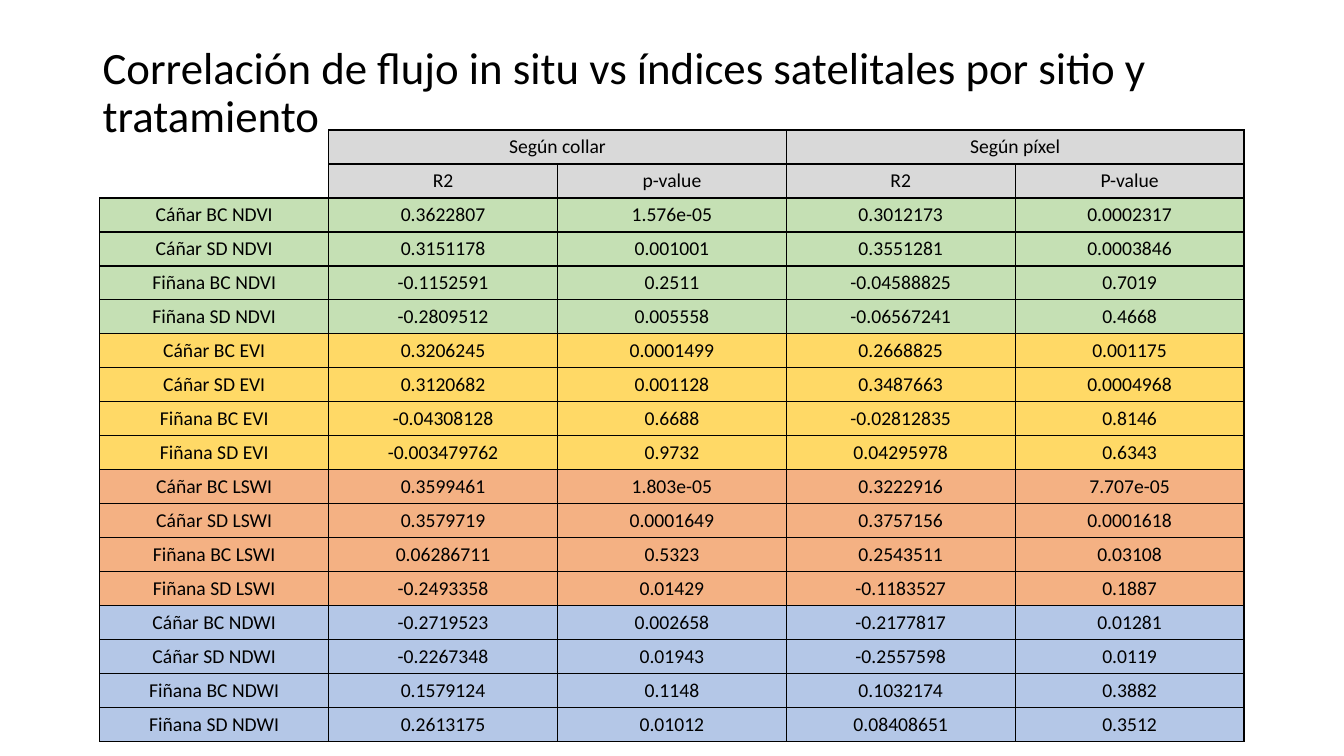
from dataclasses import dataclass
from typing import Any

from lxml.etree import SubElement
from pptx import Presentation
from pptx.dml.color import RGBColor
from pptx.enum.text import MSO_ANCHOR, PP_ALIGN
from pptx.oxml.ns import qn
from pptx.util import Emu, Inches, Pt

SLIDE_WIDTH, SLIDE_HEIGHT = Inches(13.33), Inches(7.5)
TABLE_LEFT, TABLE_TOP = Inches(0.99), Inches(1.29)
TABLE_HEIGHT = Inches(6.07)
COLUMN = Inches(2.27)
COLUMN_COUNT = 5
BLACK, HEADER_GREY = "000000", "D9D9D9"
TITLE = "Correlación de flujo in situ vs índices satelitales por sitio y tratamiento"
SITES = ("Cáñar BC", "Cáñar SD", "Fiñana BC", "Fiñana SD")
HEADERS = (
    ("", "Según collar", "", "Según píxel", ""),
    ("", "R2", "p-value", "R2", "P-value"),
)


@dataclass(frozen=True)
class IndexBlock:
    """Correlations of one satellite index, one row per site and treatment."""
    index: str
    colour: str
    correlations: tuple[str, ...]


INDEX_BLOCKS = (
    IndexBlock("NDVI", "C5E0B4", (
        "0.3622807 1.576e-05 0.3012173 0.0002317",
        "0.3151178 0.001001 0.3551281 0.0003846",
        "-0.1152591 0.2511 -0.04588825 0.7019",
        "-0.2809512 0.005558 -0.06567241 0.4668",
    )),
    IndexBlock("EVI", "FFD966", (
        "0.3206245 0.0001499 0.2668825 0.001175",
        "0.3120682 0.001128 0.3487663 0.0004968",
        "-0.04308128 0.6688 -0.02812835 0.8146",
        "-0.003479762 0.9732 0.04295978 0.6343",
    )),
    IndexBlock("LSWI", "F4B183", (
        "0.3599461 1.803e-05 0.3222916 7.707e-05",
        "0.3579719 0.0001649 0.3757156 0.0001618",
        "0.06286711 0.5323 0.2543511 0.03108",
        "-0.2493358 0.01429 -0.1183527 0.1887",
    )),
    IndexBlock("NDWI", "B4C7E7", (
        "-0.2719523 0.002658 -0.2177817 0.01281",
        "-0.2267348 0.01943 -0.2557598 0.0119",
        "0.1579124 0.1148 0.1032174 0.3882",
        "0.2613175 0.01012 0.08408651 0.3512",
    )),
)


def rgb(colour: str) -> RGBColor:
    return RGBColor.from_string(colour)


def set_attributes(target: Any, values: dict[str, Any]) -> None:
    for attribute, value in values.items():
        setattr(target, attribute, value)


def write(paragraph: Any, text: str, size: int) -> None:
    if not text:
        # An empty cell takes its line height from the end-of-paragraph size.
        SubElement(paragraph._p, qn("a:endParaRPr"), sz=str(size * 100))
        return
    run = paragraph.add_run()
    set_attributes(run, {"text": text})
    set_attributes(run.font, {"name": "Calibri", "size": Pt(size)})
    run.font.color.rgb = rgb(BLACK)


def add_borders(cell: Any, sides: str) -> None:
    """Draw the given sides and switch off the table style's other lines."""
    properties = cell._tc.get_or_add_tcPr()
    for side in "LRTB":
        line = SubElement(properties, qn(f"a:ln{side}"), w=str(Pt(1)))
        if side in sides:
            fill = SubElement(line, qn("a:solidFill"))
            SubElement(fill, qn("a:srgbClr"), val=BLACK)
        else:
            SubElement(line, qn("a:noFill"))


def format_cell(cell: Any, text: str, colour: str | None, sides: str) -> None:
    add_borders(cell, sides)
    if colour:
        cell.fill.solid()
        cell.fill.fore_color.rgb = rgb(colour)
    else:
        cell.fill.background()
    paragraph = cell.text_frame.paragraphs[0]
    paragraph.alignment = PP_ALIGN.CENTER
    write(paragraph, text, 14)


def add_title(slide: Any) -> None:
    title = slide.shapes.add_textbox(
        int(SLIDE_WIDTH * 0.069), int(SLIDE_HEIGHT * 0.028),
        int(SLIDE_WIDTH * 0.863), int(SLIDE_HEIGHT * 0.193))
    set_attributes(title.text_frame,
                   {"word_wrap": True, "vertical_anchor": MSO_ANCHOR.MIDDLE})
    paragraph = title.text_frame.paragraphs[0]
    paragraph.line_spacing = 0.9
    write(paragraph, TITLE, 32)


def table_rows() -> list[tuple[str, tuple[str, ...]]]:
    """Pair each row of texts with its colour, headers first."""
    rows = [(HEADER_GREY, header) for header in HEADERS]
    for block in INDEX_BLOCKS:
        for site, correlations in zip(SITES, block.correlations):
            rows.append((block.colour, (f"{site} {block.index}", *correlations.split())))
    return rows


def add_correlations(slide: Any) -> None:
    rows = table_rows()
    table = slide.shapes.add_table(
        len(rows), COLUMN_COUNT, TABLE_LEFT, TABLE_TOP,
        Emu(COLUMN * COLUMN_COUNT), TABLE_HEIGHT).table
    set_attributes(table, {"first_row": False, "horz_banding": False})
    for column in table.columns:
        column.width = COLUMN
    for row_number, (colour, texts) in enumerate(rows):
        table.rows[row_number].height = Emu(TABLE_HEIGHT // len(rows))
        for column_number, text in enumerate(texts):
            cell = table.cell(row_number, column_number)
            if column_number == 0 and row_number < len(HEADERS):
                format_cell(cell, text, None, "RB" if row_number else "R")
            else:
                format_cell(cell, text, colour, "LRTB")
    for first in (1, 3):
        table.cell(0, first).merge(table.cell(0, first + 1))


def main() -> None:
    presentation = Presentation()
    set_attributes(presentation,
                   {"slide_width": SLIDE_WIDTH, "slide_height": SLIDE_HEIGHT})
    slide = presentation.slides.add_slide(presentation.slide_layouts[6])
    # The title's second line reaches into the blank corner, so it lies on top.
    add_correlations(slide)
    add_title(slide)
    presentation.save("out.pptx")


if __name__ == "__main__":
    main()
